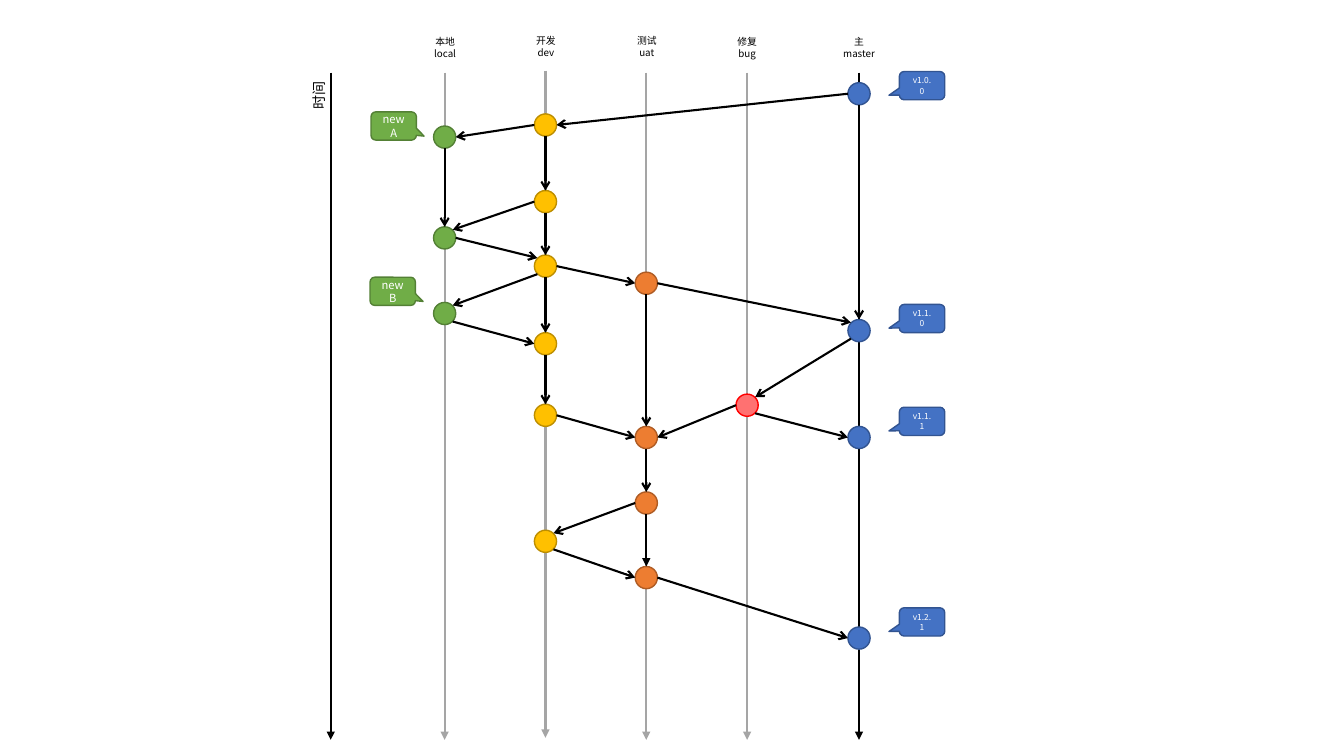
from lxml import etree
from pptx import Presentation
from pptx.dml.color import RGBColor
from pptx.enum.shapes import MSO_CONNECTOR, MSO_SHAPE
from pptx.enum.text import MSO_ANCHOR, MSO_AUTO_SIZE, PP_ALIGN
from pptx.oxml.ns import qn
from pptx.util import Pt

STRAIGHT = MSO_CONNECTOR.STRAIGHT
CIRCLE, CALLOUT = MSO_SHAPE.OVAL, MSO_SHAPE.ROUNDED_RECTANGULAR_CALLOUT
MIDDLE, CENTER = MSO_ANCHOR.MIDDLE, PP_ALIGN.CENTER
GROW = MSO_AUTO_SIZE.SHAPE_TO_FIT_TEXT

PX = 9144  # 100 px to the inch
FONT = "Noto Sans CJK SC"
BLACK = RGBColor(0x00, 0x00, 0x00)
WHITE = RGBColor(0xFF, 0xFF, 0xFF)
GRAY = RGBColor(0xA5, 0xA5, 0xA5)
GREEN, DARK_GREEN = RGBColor(0x70, 0xAD, 0x47), RGBColor(0x53, 0x80, 0x35)
YELLOW, DARK_YELLOW = RGBColor(0xFF, 0xC0, 0x00), RGBColor(0xBD, 0x8E, 0x00)
ORANGE, DARK_ORANGE = RGBColor(0xED, 0x7D, 0x31), RGBColor(0xAF, 0x5C, 0x24)
PINK, RED = RGBColor(0xFF, 0x71, 0x71), RGBColor(0xFF, 0x00, 0x00)
BLUE, DARK_BLUE = RGBColor(0x44, 0x72, 0xC4), RGBColor(0x32, 0x54, 0x91)

RADIUS, DIAGONAL = 11, 8
SITES = {"left": (-RADIUS, 0), "right": (RADIUS, 0),
         "top": (0, -RADIUS), "bottom": (0, RADIUS),
         "top left": (-DIAGONAL, -DIAGONAL), "top right": (DIAGONAL, -DIAGONAL),
         "bottom left": (-DIAGONAL, DIAGONAL), "bottom right": (DIAGONAL, DIAGONAL)}

# Branch: centre x, line top, title, title top, title width, line, fill, outline, commit y
BRANCHES = {
    "local": (441, 72, "本地", 31, 71, GRAY, GREEN, DARK_GREEN, [136, 236, 311]),
    "dev": (541, 70, "开发", 30, 41, GRAY, YELLOW, DARK_YELLOW,
            [124, 200, 264, 341, 412, 537]),
    "uat": (641, 72, "测试", 30, 41, GRAY, ORANGE, DARK_ORANGE, [281, 434, 499, 573]),
    "bug": (741, 72, "修复", 31, 80, GRAY, PINK, RED, [402]),
    "master": (852, 72, "主", 31, 80, BLACK, BLUE, DARK_BLUE, [93, 328, 434, 633]),
}
# Number of leading commits joined along their own branch
CHAINS = {"local": 2, "dev": 5, "uat": 4, "master": 2}
MERGES = [
    ("master", 0, "left", "dev", 0, "right"),
    ("dev", 0, "left", "local", 0, "right"),
    ("dev", 1, "left", "local", 1, "top right"),
    ("local", 1, "right", "dev", 2, "top left"),
    ("dev", 2, "right", "uat", 0, "left"),
    ("dev", 2, "bottom left", "local", 2, "top right"),
    ("local", 2, "bottom right", "dev", 3, "left"),
    ("uat", 0, "right", "master", 1, "top left"),
    ("master", 1, "bottom left", "bug", 0, "top right"),
    ("bug", 0, "left", "uat", 1, "right"),
    ("bug", 0, "bottom right", "master", 2, "left"),
    ("dev", 4, "right", "uat", 1, "left"),
    ("uat", 2, "left", "dev", 5, "top right"),
    ("dev", 5, "bottom right", "uat", 3, "left"),
    ("uat", 3, "right", "master", 3, "left"),
]
FEATURES = [("new A", 368, 111), ("new B", 367, 275)]
VERSIONS = [("v1.0.0", 892, 71), ("v1.1.0", 892, 302),
            ("v1.1.1", 892, 404), ("v1.2.1", 892, 603)]


def add_arrow(slide, start, end, color=BLACK, head="arrow"):
    arrow = slide.shapes.add_connector(STRAIGHT, *(v * PX for v in (*start, *end)))
    arrow.line.color.rgb = color
    arrow.line.width = Pt(1.5)
    etree.SubElement(arrow.line._get_or_add_ln(), qn("a:tailEnd"), type=head)
    etree.SubElement(arrow._element.spPr, qn("a:effectLst"))


def add_filled(slide, kind, box, fill, outline):
    shape = slide.shapes.add_shape(kind, *(v * PX for v in box))
    shape.shadow.inherit = False
    shape.fill.solid()
    shape.fill.fore_color.rgb = fill
    shape.line.color.rgb = outline
    shape.line.width = Pt(1)
    return shape


def write(shape, lines, size, color, frame_format):
    frame = shape.text_frame
    for name, value in frame_format.items():
        setattr(frame, name, value)
    frame.text = "\n".join(lines)
    for paragraph in frame.paragraphs:
        paragraph.alignment = CENTER
        font = paragraph.runs[0].font
        for name, value in {"size": Pt(size), "name": FONT}.items():
            setattr(font, name, value)
        font.color.rgb = color
        etree.SubElement(font._element, qn("a:ea"), typeface=FONT)


def add_label(slide, box, lines, size):
    label = slide.shapes.add_textbox(*(v * PX for v in box))
    write(label, lines, size, BLACK, {"word_wrap": True, "auto_size": GROW})
    return label


def draw_time_axis(slide, x, top, bottom):
    add_arrow(slide, (x, top), (x, bottom), head="triangle")
    label = add_label(slide, (x - 49, top + 12, 71, 22), ["时间"], 10)
    label.rotation = 270


def draw_branch_lines(slide, length):
    for name, (x, top, title, title_top, width, color, *_) in BRANCHES.items():
        add_arrow(slide, (x, top), (x, top + length), color, "triangle")
        add_label(slide, (x - width // 2, title_top, width, 34), [title, name], 7)


def site_of(branch, index, site):
    dx, dy = SITES[site]
    return BRANCHES[branch][0] + dx, BRANCHES[branch][-1][index] + dy


def draw_commits(slide):
    for x, *_, fill, outline, commits in BRANCHES.values():
        for y in commits:
            box = (x - RADIUS, y - RADIUS, 2 * RADIUS, 2 * RADIUS)
            add_filled(slide, CIRCLE, box, fill, outline)


def draw_history(slide):
    # Steps along one branch; the last uat step has a solid head
    for branch, count in CHAINS.items():
        for i in range(count - 1):
            head = "triangle" if (branch, i) == ("uat", 2) else "arrow"
            add_arrow(slide, site_of(branch, i, "bottom"),
                      site_of(branch, i + 1, "top"), head=head)
    # Merges between branches
    for merge in MERGES:
        add_arrow(slide, site_of(*merge[:3]), site_of(*merge[3:]))


def draw_tags(slide, tags, size, fill, outline, pointer):
    for text, left, top in tags:
        tag = add_filled(slide, CALLOUT, (left, top, 45, 28), fill, outline)
        for i, value in enumerate(pointer):
            tag.adjustments[i] = value
        write(tag, [text], size, WHITE, {"word_wrap": True, "vertical_anchor": MIDDLE})


def main():
    prs = Presentation()
    prs.slide_width, prs.slide_height = 1333 * PX, 750 * PX
    slide = prs.slides.add_slide(prs.slide_layouts[6])
    draw_branch_lines(slide, 662)
    draw_time_axis(slide, 328, 72, 734)
    draw_commits(slide)
    draw_history(slide)
    draw_tags(slide, FEATURES, 8, GREEN, DARK_GREEN, (0.67, 0.36, 0.17))
    draw_tags(slide, VERSIONS, 6, BLUE, DARK_BLUE, (-0.73, 0.34, 0.17))
    prs.save("out.pptx")


if __name__ == "__main__":
    main()
